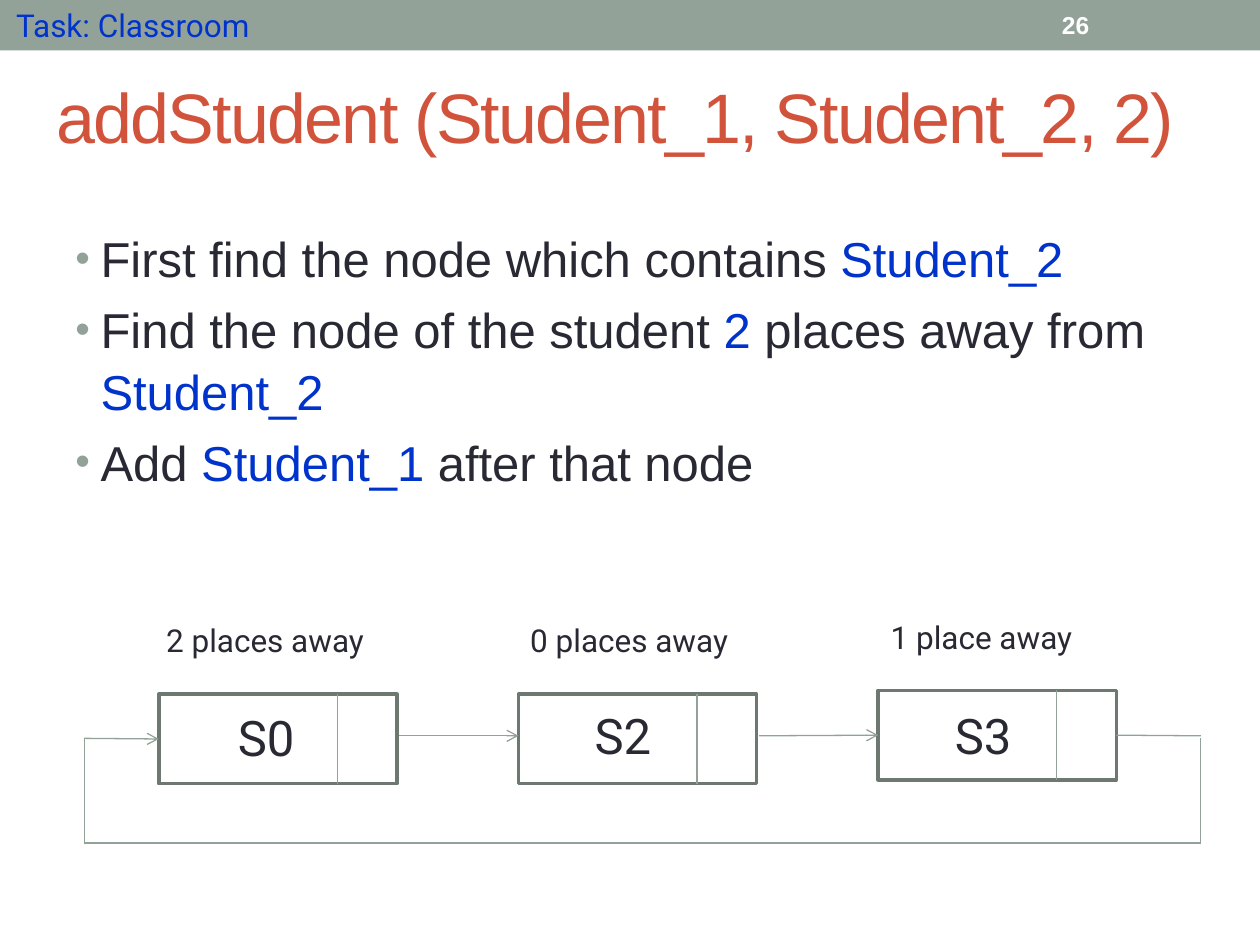
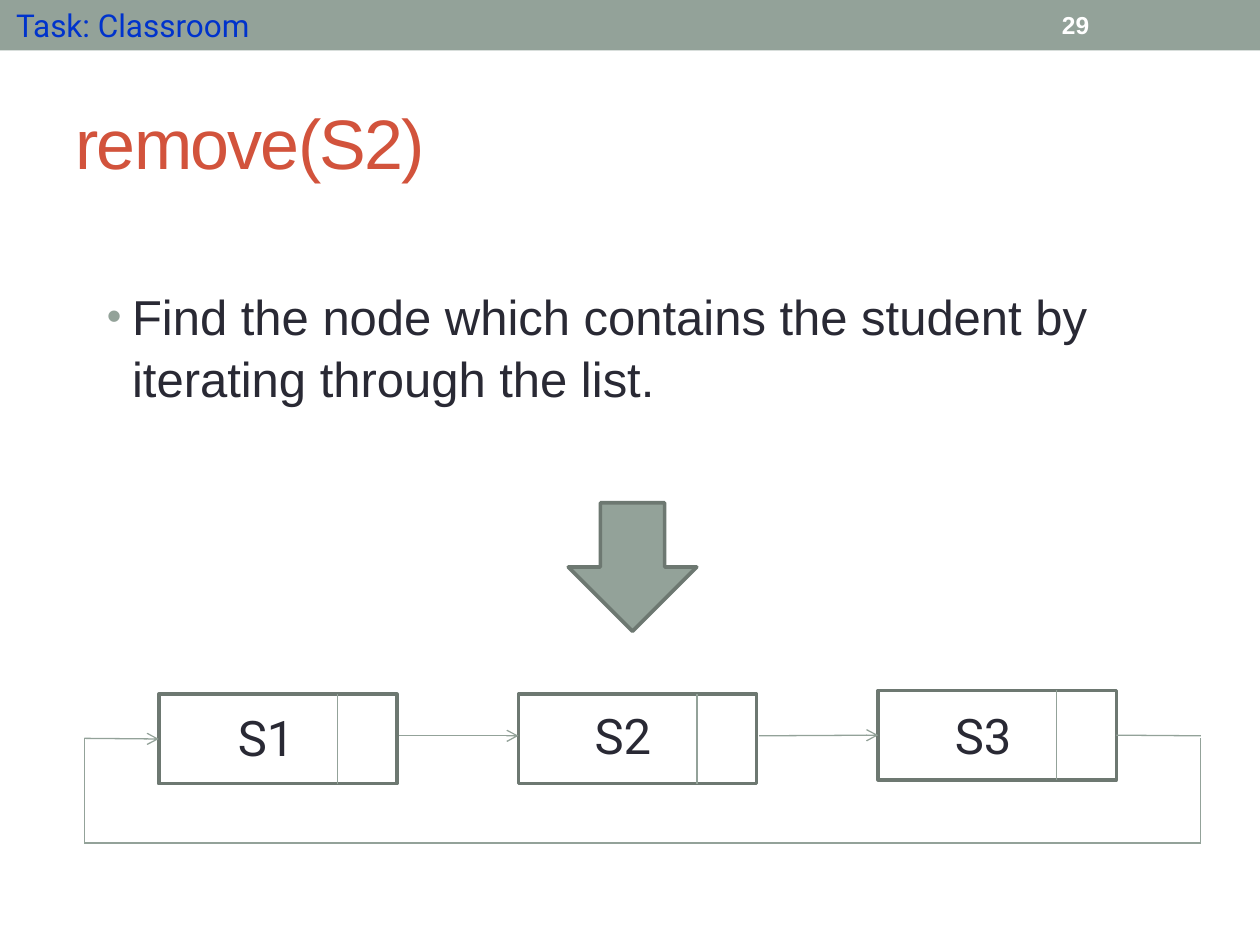
from dataclasses import dataclass
from itertools import pairwise

from lxml.etree import SubElement
from pptx import Presentation
from pptx.dml.color import RGBColor
from pptx.enum.shapes import MSO_CONNECTOR, MSO_SHAPE
from pptx.enum.text import MSO_ANCHOR as Anchor, MSO_AUTO_SIZE as AutoSize
from pptx.oxml.ns import qn
from pptx.util import Inches, Pt

WIDTH, HEIGHT = Inches(10), Inches(7.5)
COLUMNS, ROWS = 100, 75

SAGE, DARK_SAGE = "93A299", "6D7871"
INK, BLUE, RED, WHITE = "292934", "0033CC", "D2533C", "FFFFFF"
HEADING_FONT, LABEL_FONT = "Arial", "Roboto"

NODE_WIDTH, NODE_HEIGHT = 18.9, 7.1
FIRST_NODE, NODE_PITCH = 12.6, 28.55
POINTER_SHARE = 0.75
LINK_ROW, LINK_GAP = 58.4, 0.2
LOOP_LEFT, LOOP_RIGHT = 6.7, 95.3
LOOP_TOP, LOOP_BOTTOM = 58.6, 66.9
TOP, LEFT, RIGHT = 0, 1, 3


@dataclass(frozen=True)
class Area:
    left: float
    top: float
    width: float
    height: float

    def lengths(self) -> tuple:
        return x(self.left), y(self.top), x(self.width), y(self.height)


@dataclass(frozen=True)
class Style:
    size: float
    color: str = INK
    font: str = LABEL_FONT
    bold: bool = False
    tracking: int = 0


@dataclass(frozen=True)
class NodeSlot:
    top: float
    label: Area
    caption: Area


@dataclass(frozen=True)
class Lesson:
    number: str
    title: str
    title_area: Area
    body_area: Area
    bullets: tuple
    names: tuple
    captions: tuple = ()
    arrow: Area | None = None


TITLE = Style(40, RED, HEADING_FONT, tracking=-100)
BODY = Style(28, INK, HEADING_FONT)
NUMBER = Style(14, WHITE, HEADING_FONT, bold=True)
NODE_LABEL = Style(28)
CAPTION = Style(18)
TASK = Style(18, BLUE)

SLOTS = (
    NodeSlot(55.1, Area(17.9, 55.7, 8.8, 5.7), Area(12.2, 48.8, 22.1, 4)),
    NodeSlot(55.1, Area(46.2, 55.5, 8.8, 5.7), Area(41.1, 48.8, 22.1, 4)),
    NodeSlot(54.8, Area(74.8, 55.5, 8.8, 5.7), Area(69.7, 48.6, 22.1, 4)),
)

LESSONS = (
    Lesson(
        "26",
        "addStudent (Student_1, Student_2, 2)",
        Area(3.5, 2.9, 95, 12.5),
        Area(5, 17.5, 90, 53.3),
        (
            (("First find the node which contains ", INK), ("Student_2", BLUE)),
            (
                ("Find the node of the student ", INK),
                ("2", BLUE),
                (" places away from ", INK),
                ("Student_2", BLUE),
            ),
            (("Add ", INK), ("Student_1", BLUE), (" after that node", INK)),
        ),
        ("S0", "S2", "S3"),
        captions=("2 places away", "0 places away", "1 place away"),
    ),
    Lesson(
        "29",
        "remove(S2)",
        Area(5, 5.8, 90, 10.8),
        Area(7.5, 22.1, 90.5, 45),
        ((("Find the node which contains the student by iterating through the list.", INK),),),
        ("S1", "S2", "S3"),
        arrow=Area(45.1, 39.9, 10.2, 10.2),
    ),
)


def x(columns: float) -> int:
    return round(WIDTH * columns / COLUMNS)


def y(rows: float) -> int:
    return round(HEIGHT * rows / ROWS)


def rgb(color: str) -> RGBColor:
    return RGBColor.from_string(color)


def add_block(page, kind, area: Area, fill: str | None = None, outline: str | None = None):
    block = page.shapes.add_shape(kind, *area.lengths())
    block.shadow.inherit = False
    if fill:
        block.fill.solid()
        block.fill.fore_color.rgb = rgb(fill)
    else:
        block.fill.background()
    if outline:
        block.line.color.rgb = rgb(outline)
        block.line.width = Pt(2.08)
    else:
        block.line.fill.background()
    return block


def add_line(page, start: tuple, end: tuple, arrow: bool = False):
    line = page.shapes.add_connector(
        MSO_CONNECTOR.STRAIGHT, x(start[0]), y(start[1]), x(end[0]), y(end[1])
    )
    line.line.color.rgb = rgb(SAGE)
    line.line.width = Pt(0.75)
    if arrow:
        SubElement(line.line._get_or_add_ln(), qn("a:tailEnd"), type="arrow")
    SubElement(line._element.spPr, qn("a:effectLst"))
    return line


def apply_style(para, style: Style) -> None:
    para.font.name = style.font
    para.font.size = Pt(style.size)
    para.font.bold = style.bold
    para.font.color.rgb = rgb(style.color)
    if style.tracking:
        para._p.get_or_add_pPr().get_or_add_defRPr().set("spc", str(style.tracking))
        for span in para.runs:
            span._r.get_or_add_rPr().set("spc", str(style.tracking))


def add_frame(page, area: Area, anchor=Anchor.TOP):
    frame = page.shapes.add_textbox(*area.lengths()).text_frame
    frame.word_wrap = True
    frame.vertical_anchor = anchor
    return frame


def add_text(page, area: Area, text: str, style: Style, anchor=Anchor.TOP) -> None:
    frame = add_frame(page, area, anchor)
    if anchor == Anchor.TOP:
        frame.auto_size = AutoSize.SHAPE_TO_FIT_TEXT
    para = frame.paragraphs[0]
    para.add_run().text = text
    apply_style(para, style)


def add_bullet_mark(para) -> None:
    props = para._p.get_or_add_pPr()
    props.set("marL", str(Inches(0.2)))
    props.set("indent", str(-Inches(0.2)))
    SubElement(SubElement(props, qn("a:buClr")), qn("a:srgbClr"), val=SAGE)
    SubElement(props, qn("a:buSzPct"), val="85000")
    SubElement(props, qn("a:buFont"), typeface=HEADING_FONT)
    SubElement(props, qn("a:buChar"), char="•")


def add_bullets(page, area: Area, bullets: tuple) -> None:
    frame = add_frame(page, area)
    for index, pieces in enumerate(bullets):
        para = frame.add_paragraph() if index else frame.paragraphs[0]
        para.line_spacing = 1.04
        para.space_after = Pt(5.6)
        add_bullet_mark(para)
        for text, color in pieces:
            span = para.add_run()
            span.text = text
            span.font.color.rgb = rgb(color)
        apply_style(para, BODY)


def add_node(page, index: int, slot: NodeSlot, name: str):
    left = FIRST_NODE + index * NODE_PITCH
    node = add_block(
        page, MSO_SHAPE.RECTANGLE,
        Area(left, slot.top, NODE_WIDTH, NODE_HEIGHT), outline=DARK_SAGE,
    )
    divider = left + NODE_WIDTH * POINTER_SHARE
    add_line(page, (divider, slot.top), (divider, slot.top + NODE_HEIGHT))
    add_text(page, slot.label, name, NODE_LABEL)
    return node


def add_circular_list(page, names: tuple) -> None:
    nodes = [
        add_node(page, index, slot, name)
        for index, (slot, name) in enumerate(zip(SLOTS, names))
    ]
    links = []
    for index in range(len(nodes) - 1):
        left = FIRST_NODE + index * NODE_PITCH
        start = (left + NODE_WIDTH + LINK_GAP, LINK_ROW)
        links.append(add_line(page, start, (left + NODE_PITCH, LINK_ROW), arrow=True))
    links[-1].end_connect(nodes[-1], LEFT)

    last_right = FIRST_NODE + (len(nodes) - 1) * NODE_PITCH + NODE_WIDTH
    exit_line = add_line(page, (last_right, LINK_ROW), (LOOP_RIGHT, LINK_ROW))
    exit_line.begin_connect(nodes[-1], RIGHT)

    corners = (
        (LOOP_RIGHT, LOOP_TOP),
        (LOOP_RIGHT, LOOP_BOTTOM),
        (LOOP_LEFT, LOOP_BOTTOM),
        (LOOP_LEFT, LOOP_TOP),
    )
    for start, end in pairwise(corners):
        add_line(page, start, end)
    entry = add_line(page, corners[-1], (FIRST_NODE, LOOP_TOP), arrow=True)
    entry.end_connect(nodes[0], LEFT)


def add_lesson(deck, lesson: Lesson) -> None:
    page = deck.slides.add_slide(deck.slide_layouts[6])
    add_block(page, MSO_SHAPE.RECTANGLE, Area(0, 0, COLUMNS, 4), fill=SAGE)
    add_text(page, lesson.title_area, lesson.title, TITLE, Anchor.MIDDLE)
    add_bullets(page, lesson.body_area, lesson.bullets)
    add_text(page, Area(83.3, 0.2, 11.7, 3.6), lesson.number, NUMBER, Anchor.MIDDLE)
    add_circular_list(page, lesson.names)
    for slot, caption in zip(SLOTS, lesson.captions):
        add_text(page, slot.caption, caption, CAPTION)
    if lesson.arrow:
        add_block(page, MSO_SHAPE.DOWN_ARROW, lesson.arrow, SAGE, DARK_SAGE)
    add_text(page, Area(0.3, 0, 27.6, 4), "Task: Classroom", TASK)


def main() -> None:
    deck = Presentation()
    deck.slide_width, deck.slide_height = WIDTH, HEIGHT
    for lesson in LESSONS:
        add_lesson(deck, lesson)
    deck.save("out.pptx")


if __name__ == "__main__":
    main()
